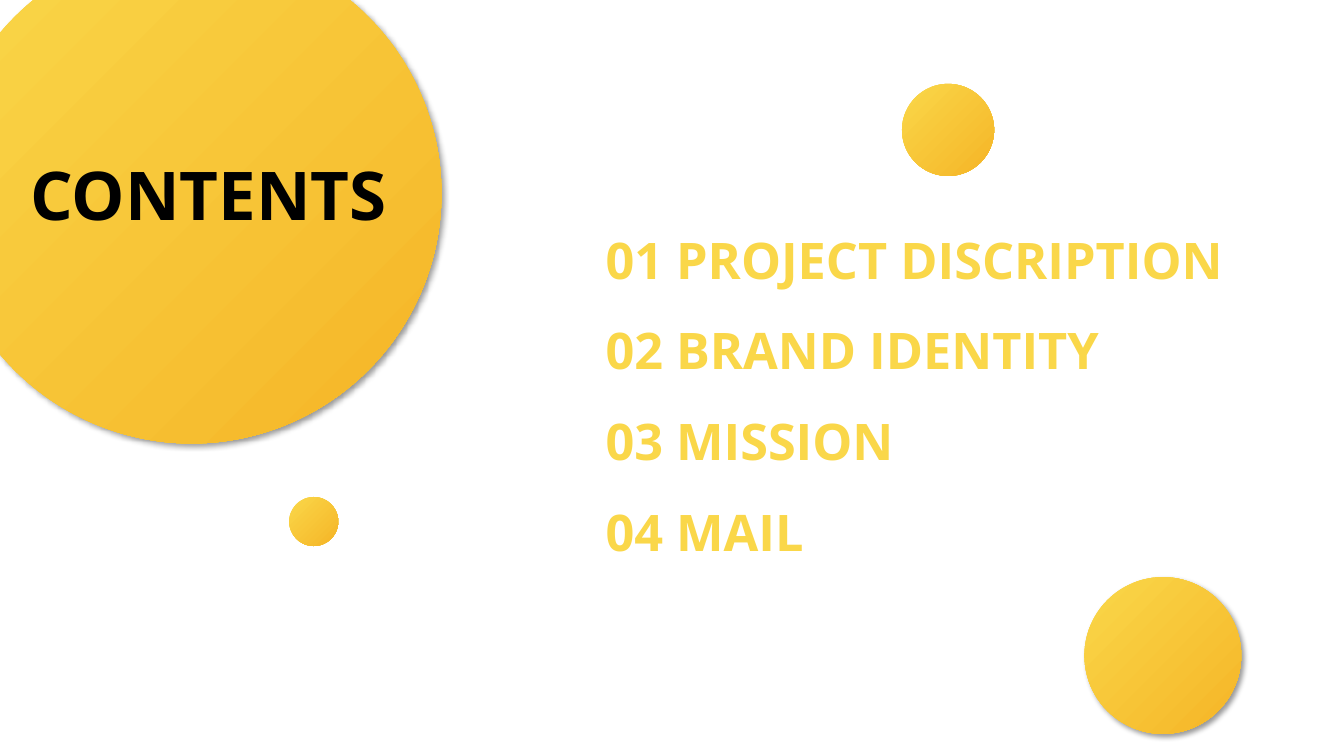
import pptx
import pptx.util
import pptx.dml.color
import pptx.enum.shapes
import pptx.enum.text
import pptx.oxml
import pptx.oxml.ns

Pt = pptx.util.Pt

COLORS = {"yellow": "FAD749", "amber": "F5B527", "black": "000000"}
FONT = "Open Sans"

TITLE = "CONTENTS"
CHAPTERS = ["PROJECT DISCRIPTION", "BRAND IDENTITY", "MISSION", "MAIL"]

TITLE_CIRCLE = {"left": -41.76, "top": -40.32, "diameter": 357.12, "shadow": True}
ACCENT_CIRCLES = [
    {"left": 774.6, "top": 412.2, "diameter": 112, "shadow": True},
    {"left": 206.6, "top": 355, "diameter": 35, "shadow": False},
    {"left": 644.3, "top": 59.9, "diameter": 65.8, "shadow": False},
]


def rgb(color):
    return pptx.dml.color.RGBColor.from_string(COLORS[color])


def add_shadow(circle):
    namespace = pptx.oxml.ns.nsdecls("a")
    effects = pptx.oxml.parse_xml(
        f'<a:effectLst {namespace}>'
        f'<a:outerShdw blurRad="{Pt(4)}" dist="{Pt(3)}" dir="2700000" algn="tl" rotWithShape="0">'
        f'<a:srgbClr val="{COLORS["black"]}"><a:alpha val="40000"/></a:srgbClr>'
        '</a:outerShdw></a:effectLst>'
    )
    properties = circle._element.spPr
    properties.replace(properties.find(pptx.oxml.ns.qn("a:effectLst")), effects)


def add_circle(shapes, left, top, diameter, shadow):
    circle = shapes.add_shape(
        pptx.enum.shapes.MSO_SHAPE.OVAL, Pt(left), Pt(top), Pt(diameter), Pt(diameter)
    )
    circle.line.fill.background()
    circle.fill.gradient()
    circle.fill.gradient_angle = 315
    for stop, color, position in zip(circle.fill.gradient_stops, ("yellow", "amber"), (0, 1)):
        stop.color.rgb = rgb(color)
        stop.position = position
    circle.shadow.inherit = False
    if shadow:
        add_shadow(circle)


def add_text(shapes, lines, box, size, color, spacing):
    frame = shapes.add_textbox(*map(Pt, box)).text_frame
    frame.word_wrap = True
    frame.auto_size = pptx.enum.text.MSO_AUTO_SIZE.SHAPE_TO_FIT_TEXT
    for index, line in enumerate(lines):
        paragraph = frame.add_paragraph() if index else frame.paragraphs[0]
        paragraph.line_spacing = spacing
        run = paragraph.add_run()
        run.text = line
        run.font.name = FONT
        run.font.size = Pt(size)
        run.font.bold = True
        run.font.color.rgb = rgb(color)


def main():
    deck = pptx.Presentation()
    deck.slide_width, deck.slide_height = Pt(960), Pt(540)
    shapes = deck.slides.add_slide(deck.slide_layouts[6]).shapes

    chapter_lines = [f"{number:02d} {chapter}" for number, chapter in enumerate(CHAPTERS, 1)]
    add_text(shapes, chapter_lines, (425.5, 138.2, 524.9, 269), 36, "yellow", 1.5)
    add_circle(shapes, **TITLE_CIRCLE)
    add_text(shapes, [TITLE], (14.6, 105.8, 289.4, 65.5), 48, "black", 1.0)
    for circle in ACCENT_CIRCLES:
        add_circle(shapes, **circle)

    deck.save("out.pptx")


if __name__ == "__main__":
    main()
